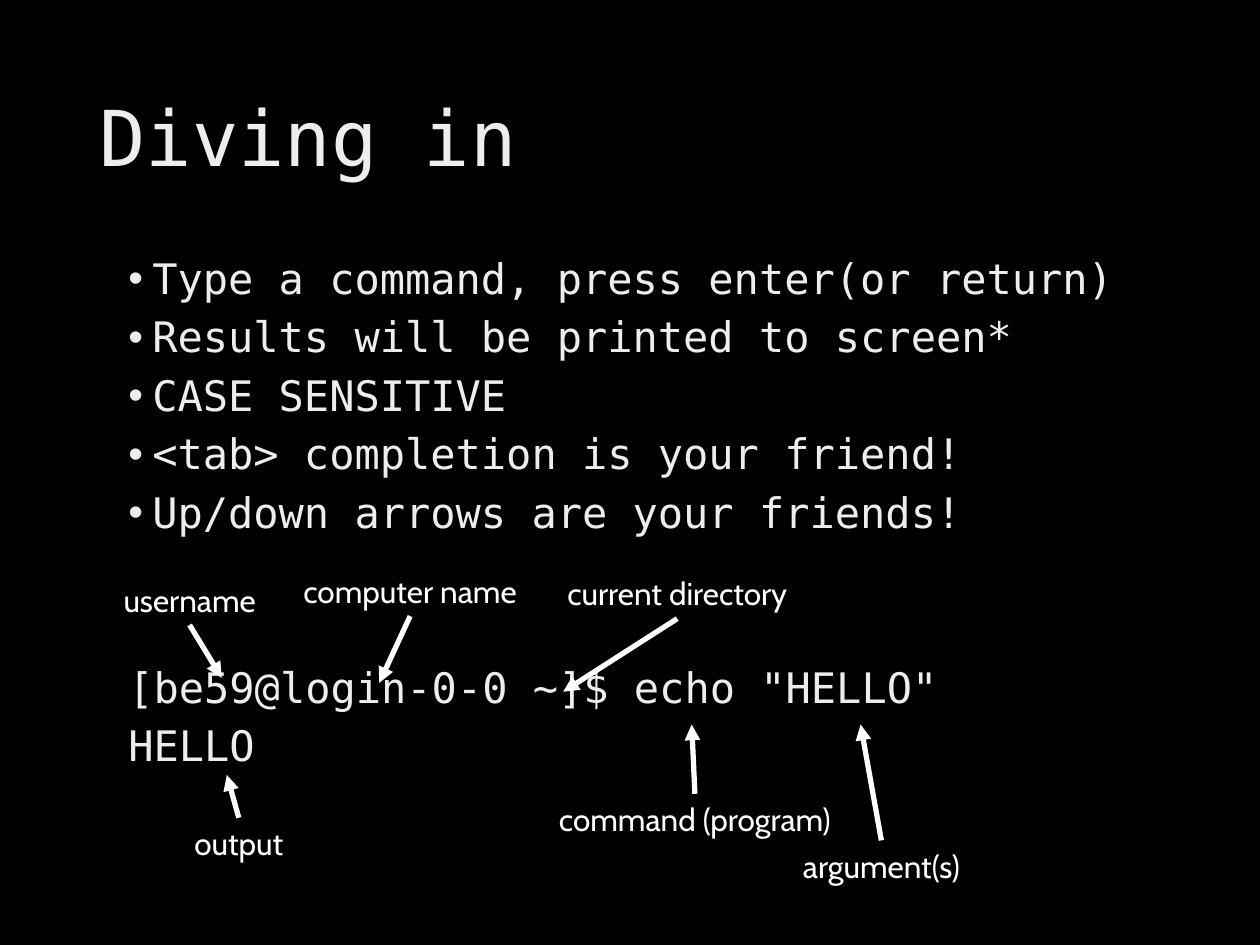
from lxml import etree
from pptx import Presentation
from pptx.dml.color import RGBColor
from pptx.enum.shapes import MSO_CONNECTOR
from pptx.enum.text import MSO_ANCHOR, MSO_AUTO_SIZE, PP_ALIGN
from pptx.oxml.ns import qn
from pptx.util import Inches, Pt

MONO = "DejaVu Sans Mono"
LABEL_FONT = "Cabin"
BLACK, PALE, WHITE = "000000", "EDEDED", "FFFFFF"
LABEL_WIDTH, LABEL_HEIGHT = 2.61, 0.4

BULLETS = [
    "Type a command, press enter(or return)",
    "Results will be printed to screen*",
    "CASE SENSITIVE",
    "<tab> completion is your friend!",
    "Up/down arrows are your friends!",
]
TERMINAL = ['[be59@login-0-0 ~]$ echo "HELLO"', "HELLO"]
CALLOUTS = [
    ("command (program)", 4.21, 6.3, (5.49, 5.75)),
    ("argument(s)", 5.69, 6.67, (6.83, 5.75)),
    ("output", 0.59, 6.49, (1.8, 6.15)),
    ("username", 0.2, 4.56, (1.76, 5.38)),
    ("computer name", 1.95, 4.49, (3.01, 5.42)),
    ("current directory", 4.07, 4.51, (4.47, 5.49)),
]


def rgb(value):
    """Turn a hex string into a colour."""
    return RGBColor.from_string(value)


def format_runs(paragraph, font_name, size, color):
    """Set the font of every run in a paragraph."""
    for run in paragraph.runs:
        run.font.name = font_name
        run.font.size = Pt(size)
        run.font.color.rgb = rgb(color)


def add_bullet(paragraph):
    """Give a paragraph a round bullet with a hanging indent."""
    properties = paragraph._p.get_or_add_pPr()
    properties.set("marL", str(Inches(0.19)))
    properties.set("indent", str(Inches(-0.19)))
    font = etree.SubElement(properties, qn("a:buFont"))
    font.set("typeface", "Arial")
    etree.SubElement(properties, qn("a:buChar")).set("char", "•")


def add_title(slide, text):
    """Place and format the title placeholder."""
    title = slide.shapes.title
    title.left, title.top = Inches(0.69), Inches(0.4)
    title.width, title.height = Inches(8.62), Inches(1.45)
    frame = title.text_frame
    frame.text = text
    frame.auto_size = MSO_AUTO_SIZE.NONE
    frame.vertical_anchor = MSO_ANCHOR.MIDDLE
    paragraph = frame.paragraphs[0]
    paragraph.alignment = PP_ALIGN.LEFT
    paragraph.line_spacing = 0.9
    format_runs(paragraph, MONO, 44, PALE)


def add_body(slide):
    """Add the bullets followed by the terminal session."""
    shape = slide.shapes.add_textbox(Inches(0.92), Inches(2), Inches(8.39), Inches(4.18))
    frame = shape.text_frame
    frame.word_wrap = True
    frame.text = "\n".join(BULLETS + TERMINAL)
    for index, paragraph in enumerate(frame.paragraphs):
        paragraph.line_spacing = 0.9
        paragraph.space_before = Pt(74 if index == len(BULLETS) else 7.5)
        format_runs(paragraph, MONO, 24, PALE)
        if index < len(BULLETS):
            add_bullet(paragraph)


def add_label(slide, text, left, top):
    """Add a centred label."""
    shape = slide.shapes.add_textbox(
        Inches(left), Inches(top), Inches(LABEL_WIDTH), Inches(LABEL_HEIGHT)
    )
    frame = shape.text_frame
    frame.word_wrap = True
    frame.text = text
    paragraph = frame.paragraphs[0]
    paragraph.alignment = PP_ALIGN.CENTER
    format_runs(paragraph, LABEL_FONT, 18, WHITE)


def add_arrow(slide, start, end):
    """Add a white arrow from start to end."""
    arrow = slide.shapes.add_connector(
        MSO_CONNECTOR.STRAIGHT, *(Inches(value) for value in (*start, *end))
    )
    arrow.line.color.rgb = rgb(WHITE)
    arrow.line.width = Pt(3)
    line = arrow.line._get_or_add_ln()
    etree.SubElement(line, qn("a:tailEnd")).set("type", "triangle")
    etree.SubElement(arrow._element.spPr, qn("a:effectLst"))


def add_callout(slide, text, left, top, target):
    """Add a label and the arrow from its facing edge to the target."""
    add_label(slide, text, left, top)
    edge = top if target[1] < top else top + LABEL_HEIGHT
    add_arrow(slide, (left + LABEL_WIDTH / 2, edge), target)


def main():
    """Build and save the slide."""
    presentation = Presentation()
    presentation.slide_width, presentation.slide_height = Inches(10), Inches(7.5)
    slide = presentation.slides.add_slide(presentation.slide_layouts[5])
    slide.background.fill.solid()
    slide.background.fill.fore_color.rgb = rgb(BLACK)
    add_title(slide, "Diving in")
    add_body(slide)
    for callout in CALLOUTS:
        add_callout(slide, *callout)
    presentation.save("out.pptx")


if __name__ == "__main__":
    main()
